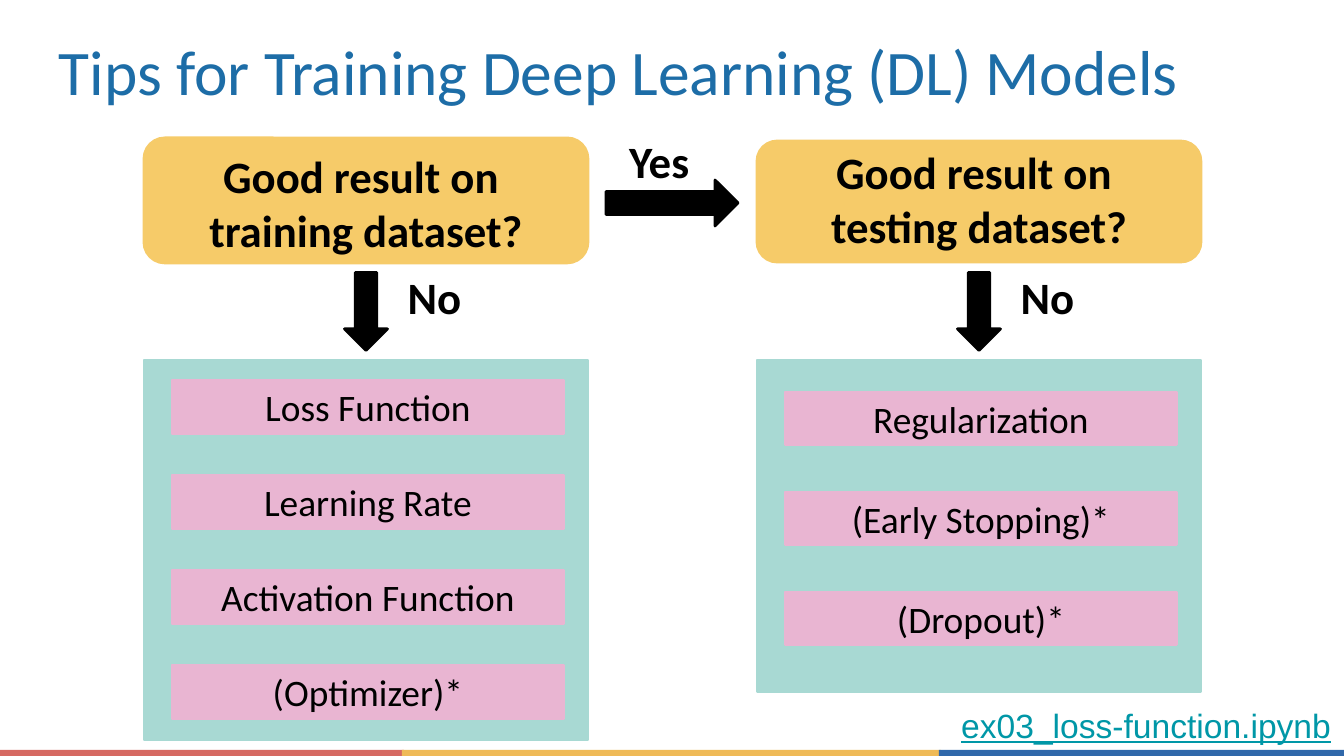
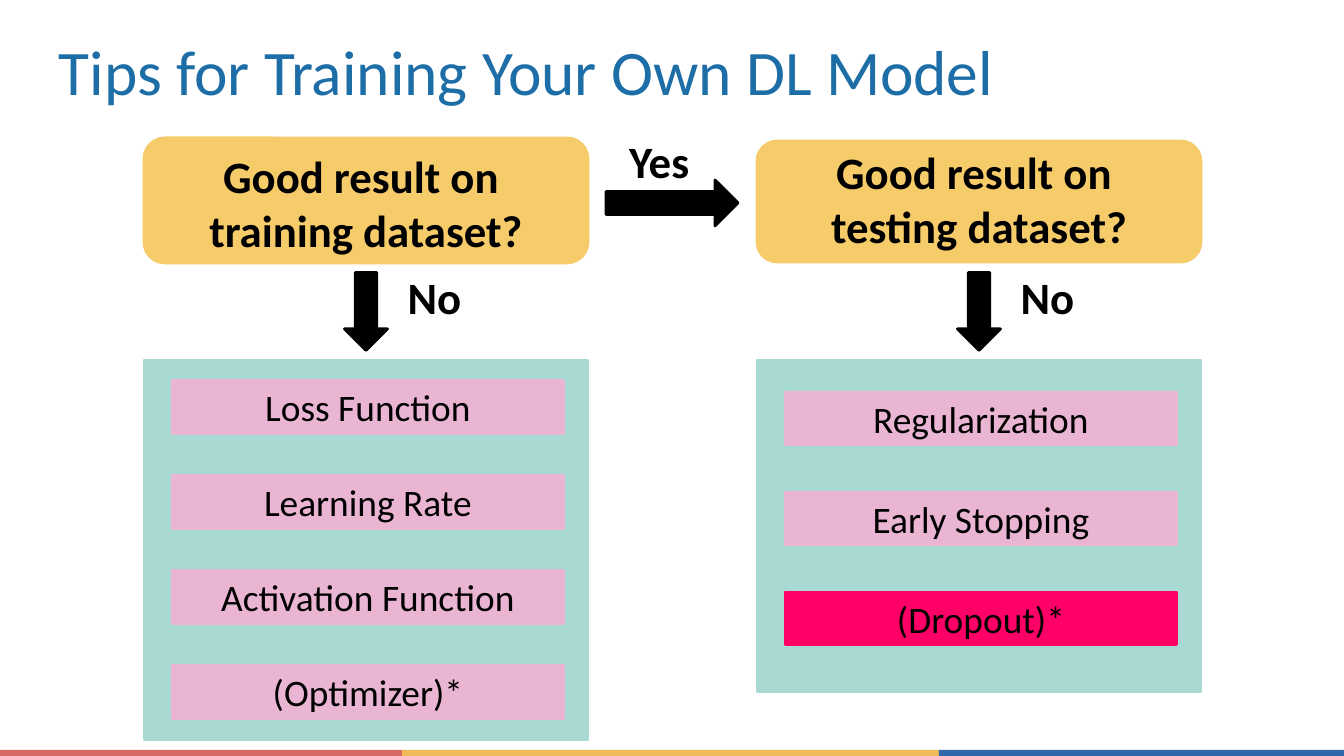
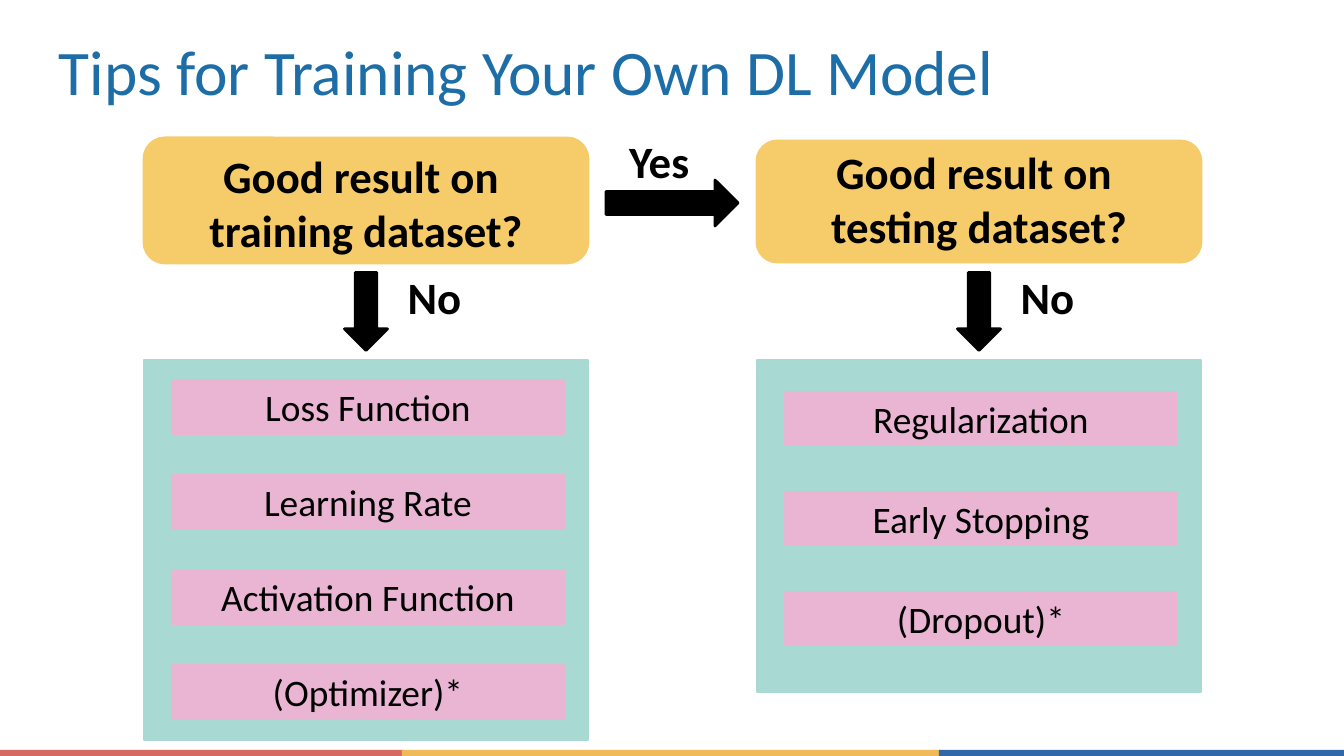
from pptx import Presentation
from pptx.dml.color import RGBColor
from pptx.enum import shapes, text
from pptx.util import Emu, Pt

PX = 914400 / 134.4
SLIDE_WIDTH, SLIDE_HEIGHT = 1344, 756

BLACK = RGBColor(0x00, 0x00, 0x00)
TITLE_BLUE = RGBColor(0x1D, 0x6D, 0xA7)
QUESTION_YELLOW = RGBColor(0xF6, 0xCB, 0x69)
PANEL_GREEN = RGBColor(0xA8, 0xD9, 0xD3)
TIP_PINK = RGBColor(0xE9, 0xB5, 0xD2)
HIGHLIGHT = RGBColor(0xFF, 0x00, 0x66)
LINK_TEAL = RGBColor(0x00, 0x97, 0xA7)
BAND_RED = RGBColor(0xD6, 0x69, 0x62)
BAND_ORANGE = RGBColor(0xEF, 0xBA, 0x57)
BAND_BLUE = RGBColor(0x30, 0x68, 0xAA)

SHAPE = shapes.MSO_SHAPE
ALIGN = text.PP_ALIGN
ANCHOR = text.MSO_ANCHOR

LEFT_COLUMN, RIGHT_COLUMN = 144, 757
COLUMN_WIDTH = 444
PANEL_TOP = 360
TIP_INDENT, TIP_WIDTH = 28, 392


def px(*lengths):
    return [Emu(round(length * PX)) for length in lengths]


def write(shape, words, size, color=BLACK, font="Calibri", bold=False,
          underline=None, align=ALIGN.CENTER, anchor=ANCHOR.MIDDLE, inset_y=7):
    frame = shape.text_frame
    frame.word_wrap = True
    frame.vertical_anchor = anchor
    frame.margin_left = frame.margin_right = px(13)[0]
    frame.margin_top = frame.margin_bottom = px(inset_y)[0]
    paragraph = frame.paragraphs[0]
    paragraph.text = words
    paragraph.alignment = align
    for run in paragraph.runs:
        run.font.name = font
        run.font.size = Pt(size)
        run.font.bold = bold
        run.font.underline = underline
        run.font.color.rgb = color


def add_text(slide, box, words, size, **style):
    write(slide.shapes.add_textbox(*px(*box)), words, size, **style)


def add_block(slide, kind, box, color, outlined=True):
    """Add a preset shape whose outline has the colour of its fill."""
    shape = slide.shapes.add_shape(kind, *px(*box))
    shape.shadow.inherit = False
    shape.fill.solid()
    shape.fill.fore_color.rgb = color
    if outlined:
        shape.line.color.rgb = color
        shape.line.width = Pt(1.5)
    else:
        shape.line.fill.background()
    return shape


def add_bands(slide):
    for left, width, color in ((0, 404, BAND_RED), (402, 539, BAND_ORANGE),
                               (939, 405, BAND_BLUE)):
        add_block(slide, SHAPE.RECTANGLE, (left, 750, width, 6), color, outlined=False)


def add_title(slide, words):
    add_text(slide, (46, 27, 1253, 86), words, 34, color=TITLE_BLUE,
             align=ALIGN.LEFT, inset_y=13)


def add_question(slide, left, top, height, text_top, words):
    add_block(slide, SHAPE.ROUNDED_RECTANGLE, (left, top, COLUMN_WIDTH, height),
              QUESTION_YELLOW)
    add_text(slide, (left, text_top, COLUMN_WIDTH, height), words, 24, bold=True)


def add_yes_branch(slide):
    add_block(slide, SHAPE.RIGHT_ARROW, (606, 180, 132, 46), BLACK)
    add_text(slide, (616, 138, 95, 46), "Yes", 24, bold=True, align=ALIGN.LEFT)


def add_no_branch(slide, column):
    arrow = add_block(slide, SHAPE.RIGHT_ARROW, (column + 183, 290, 78, 43), BLACK)
    arrow.rotation = 90
    add_text(slide, (column + 243, 274, 95, 46), "No", 24, bold=True)


def add_tips(slide, column, panel_height, first_top, pitch, tip_height, tips,
             highlighted=None):
    """Add a panel with evenly spaced tips in it."""
    add_block(slide, SHAPE.RECTANGLE, (column, PANEL_TOP, COLUMN_WIDTH, panel_height),
              PANEL_GREEN)
    for row, words in enumerate(tips):
        box = (column + TIP_INDENT, first_top + row * pitch, TIP_WIDTH, tip_height)
        color = HIGHLIGHT if words == highlighted else TIP_PINK
        write(add_block(slide, SHAPE.RECTANGLE, box, color), words, 20)


def add_tips_slide(presentation, title, testing_tips, highlighted=None):
    slide = presentation.slides.add_slide(presentation.slide_layouts[6])
    add_bands(slide)
    add_title(slide, title)
    add_question(slide, LEFT_COLUMN, 138, 125, 140, "Good result on \vtraining dataset?")
    add_question(slide, RIGHT_COLUMN, 141, 121, 138, "Good result on \vtesting dataset?")
    add_yes_branch(slide)
    add_tips(slide, LEFT_COLUMN, 380, 380, 95, 54,
             ("Loss Function", "Learning Rate", "Activation Function", "(Optimizer)*"))
    add_tips(slide, RIGHT_COLUMN, 332, 392, 100, 53, testing_tips, highlighted)
    for column in (LEFT_COLUMN, RIGHT_COLUMN):
        add_no_branch(slide, column)
    return slide


def main():
    presentation = Presentation()
    presentation.slide_width, presentation.slide_height = px(SLIDE_WIDTH, SLIDE_HEIGHT)

    slide = add_tips_slide(presentation, "Tips for Training Deep Learning (DL) Models",
                           ("Regularization", "(Early Stopping)*", "(Dropout)*"))
    add_text(slide, (931, 692, 413, 62), "ex03_loss-function.ipynb", 18,
             color=LINK_TEAL, font="Arial", underline=True, align=ALIGN.RIGHT,
             anchor=ANCHOR.TOP, inset_y=13)

    for highlighted in ("(Dropout)*", None):
        add_tips_slide(presentation, "Tips for Training Your Own DL Model",
                       ("Regularization", "Early Stopping", "(Dropout)*"), highlighted)

    presentation.save("out.pptx")


if __name__ == "__main__":
    main()
